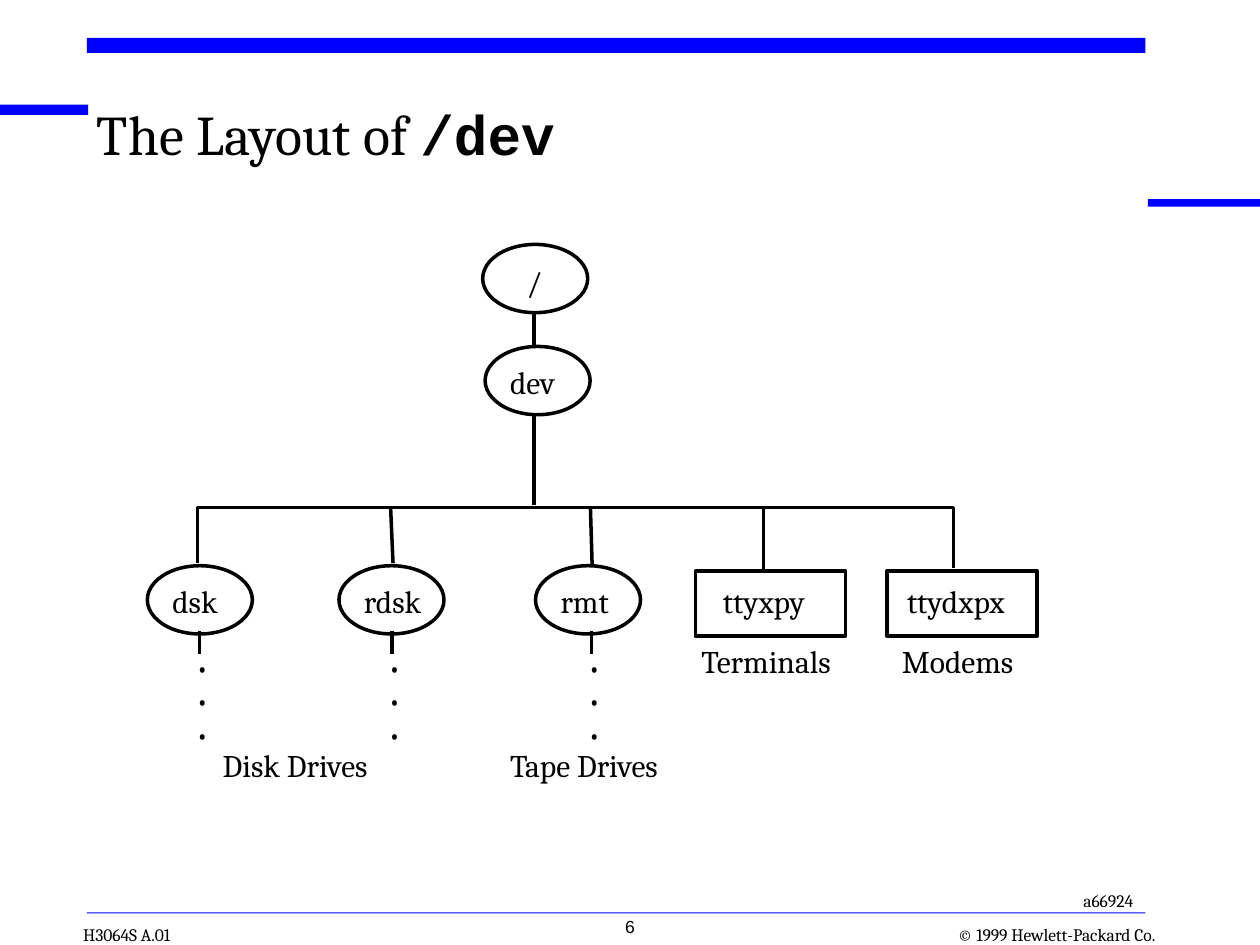
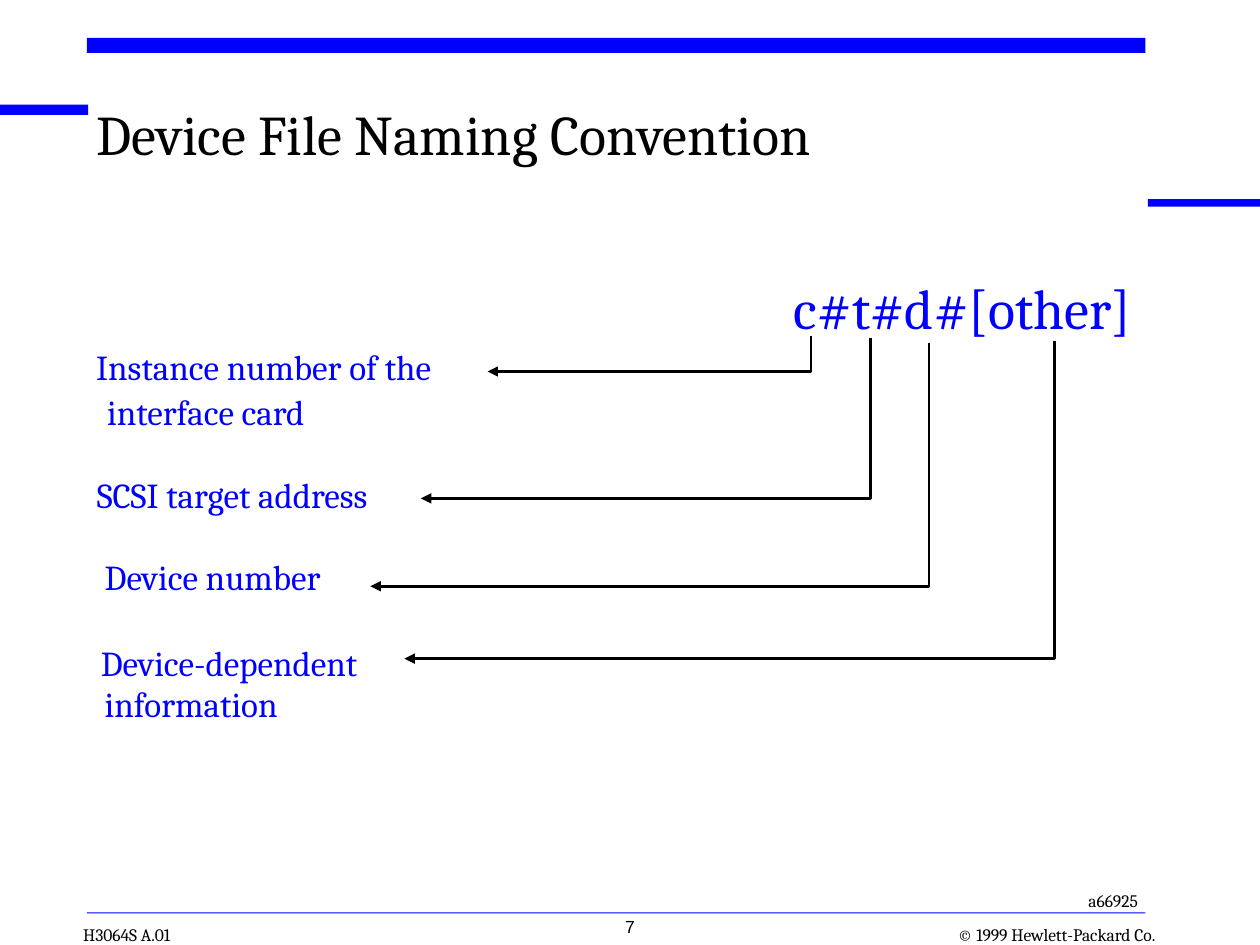
from pptx import Presentation
from pptx.dml.color import RGBColor
from pptx.enum.shapes import MSO_CONNECTOR as Connector, MSO_SHAPE as Shape
from pptx.enum.text import MSO_ANCHOR as Anchor, MSO_AUTO_SIZE as AutoSize, PP_ALIGN as Align
from pptx.oxml.ns import qn
from pptx.util import Pt
from lxml.etree import SubElement

BLACK, BLUE, WHITE = "000000", "0000FF", "FFFFFF"
BODY_FONT, CODE_FONT, NUMBER_FONT = "Cambria", "Courier New", "Arial"
INSETS = (7.2, 3.6)
BANDS = [(0, 59.8, 50.4, 5.8), (49.7, 21.6, 604.8, 8.6),
         (655.9, 113.8, 64.1, 4.3), (49.7, 521.3, 604.8, 0.7)]

ELLIPSE_SIZE = (60, 39)
BOX_SIZE = (85.7, 37.4)
BUS_TOP = 290


def color(value):
    return RGBColor.from_string(value)


def add_span(para, text, size, ink=BLACK, font=BODY_FONT, bold=False):
    span = para.add_run()
    span.text = text
    span.font.size = Pt(size)
    span.font.name = font
    span.font.bold = bold
    span.font.color.rgb = color(ink)


def add_text(page, text, left, top, width, height, size=18, align=Align.LEFT,
             anchor=Anchor.TOP, insets=INSETS, wrap=False, spacing=None, **style):
    box = page.shapes.add_textbox(Pt(left), Pt(top), Pt(width), Pt(height))
    frame = box.text_frame
    frame.word_wrap = wrap
    frame.auto_size = AutoSize.NONE if wrap else AutoSize.SHAPE_TO_FIT_TEXT
    frame.vertical_anchor = anchor
    frame.margin_left = frame.margin_right = Pt(insets[0])
    frame.margin_top = frame.margin_bottom = Pt(insets[1])
    for index, line in enumerate(text.split("\n")):
        para = frame.add_paragraph() if index else frame.paragraphs[0]
        para.alignment = align
        para.line_spacing = spacing
        add_span(para, line, size, **style)
    return frame


def add_shape(page, kind, left, top, width, height, fill, outline=None):
    shape = page.shapes.add_shape(kind, Pt(left), Pt(top), Pt(width), Pt(height))
    shape.shadow.inherit = False
    shape.fill.solid()
    shape.fill.fore_color.rgb = color(fill)
    if outline:
        set_line(shape, outline, 2)
    else:
        shape.line.fill.background()


def set_line(shape, ink, weight):
    shape.line.color.rgb = color(ink)
    shape.line.width = Pt(weight)


def add_line(page, start, end):
    line = page.shapes.add_connector(Connector.STRAIGHT, *map(Pt, start + end))
    set_line(line, BLACK, 2)
    SubElement(line._element.spPr, qn("a:effectLst"))


def add_path(page, points, weight, arrow=False):
    corners = [(Pt(x), Pt(y)) for x, y in points]
    builder = page.shapes.build_freeform(*corners[0])
    builder.add_line_segments(corners[1:], close=False)
    path = builder.convert_to_shape()
    path.shadow.inherit = False
    path.fill.background()
    set_line(path, BLACK, weight)
    if arrow:
        SubElement(path.line._get_or_add_ln(), qn("a:tailEnd"), type="triangle")


def add_node(page, kind, size, left, top, label, label_width, indent=7.2, drop=5.8):
    add_shape(page, kind, left, top, *size, WHITE, BLACK)
    add_text(page, label, left + indent, top + drop, label_width, 28.8)


def add_page(deck, title, number, figure, figure_align):
    page = deck.slides.add_slide(deck.slide_layouts[6])
    for band in BANDS:
        add_shape(page, Shape.RECTANGLE, *band, BLUE)
    footer = dict(size=10, anchor=Anchor.BOTTOM, insets=(0, 0))
    add_text(page, "© 1999 Hewlett-Packard Co.", 529.2, 527.8, 131, 12.2,
             align=Align.RIGHT, **footer)
    add_text(page, "H3064S A.01", 47.5, 527.8, 59, 12.2, **footer)
    add_text(page, number, 285.1, 519.8, 149.8, 23.8, size=10,
             align=Align.CENTER, wrap=True, font=NUMBER_FONT)
    add_text(page, figure, 612, 505.2, 48.2, 19.4, size=10, align=figure_align)
    heading = add_text(page, title, 55.4, 62.6, 581, 48.2, size=32,
                       insets=(0, 0), wrap=True, spacing=0.85)
    return page, heading.paragraphs[0]


def build_layout_page(deck):
    page, heading = add_page(deck, "The Layout of ", "6", "a66924", Align.LEFT)
    add_span(heading, "/dev", 32, font=CODE_FONT, bold=True)

    add_line(page, (305.3, 177.1), (305.3, 288.7))
    add_line(page, (223.2, BUS_TOP), (224.6, 321.8))
    add_line(page, (337.4, BUS_TOP), (338.4, 324))
    add_line(page, (436.3, BUS_TOP), (436.3, 325.4))
    add_path(page, [(113, 321.8), (113, BUS_TOP), (545, BUS_TOP), (545, 324.7)], 2)

    add_node(page, Shape.OVAL, ELLIPSE_SIZE, 275.8, 139.7, "/", 20.9, 18, 7.2)
    add_node(page, Shape.OVAL, ELLIPSE_SIZE, 277.2, 198, "dev", 44.6)
    directories = [(84.2, "dsk", 43.2, 114), (193.7, "rdsk", 51.1, 223.9),
                   (306, "rmt", 44.6, 338)]
    for left, name, label_width, stem in directories:
        add_node(page, Shape.OVAL, ELLIPSE_SIZE, left, 323.3, name, label_width)
        add_line(page, (stem, 360.7), (stem, 373.7))
        add_text(page, "•\n•\n•", stem - 9, 367.9, 20.2, 64.8, size=16,
                 align=Align.CENTER, anchor=Anchor.MIDDLE)
    devices = [(397.4, "ttyxpy", 66.2, 8.6), (506.9, "ttydxpx", 77.8, 4.3)]
    for left, name, label_width, indent in devices:
        add_node(page, Shape.RECTANGLE, BOX_SIZE, left, 326.2, name,
                 label_width, indent, 2.9)

    for caption, left, top, width in [
            ("Terminals", 393.8, 363.6, 97.9), ("Modems", 508.3, 363.6, 87.8),
            ("Disk Drives", 120.2, 422.6, 108), ("Tape Drives", 284.4, 422.6, 113)]:
        add_text(page, caption, left, top, width, 28.8)


def build_naming_page(deck):
    page, _ = add_page(deck, "Device File Naming Convention", "7", "a66925", Align.CENTER)
    add_text(page, "c#t#d#[other]", 444.2, 156.2, 211.7, 38.2, size=32,
             align=Align.CENTER, insets=(0, 0), ink=BLUE)
    for meaning, left, top, width in [
            ("Instance number of the", 55, 197.3, 222),
            ("interface card", 61.2, 223.2, 130.3),
            ("SCSI target address", 55.4, 270.7, 184.3),
            ("Device number", 59.8, 317.5, 142.6),
            ("Device-dependent", 57.6, 366.5, 171.4),
            ("information", 59.8, 390.2, 111.6)]:
        add_text(page, meaning, left, top, width, 23.8, size=20,
                 insets=(0, 0), wrap=True, ink=BLUE)
    for field, top, bottom, tip in [
            (463.5, 191.8, 212.3, 278.6), (497.4, 193.2, 284.8, 240.5),
            (530.8, 195.8, 335, 211.7), (602.6, 195.1, 376.4, 231.1)]:
        add_path(page, [(field, top), (field, bottom), (tip, bottom)], 1.5, arrow=True)


def main():
    deck = Presentation()
    deck.slide_width, deck.slide_height = Pt(720), Pt(540)
    build_layout_page(deck)
    build_naming_page(deck)
    deck.save("out.pptx")


if __name__ == "__main__":
    main()
